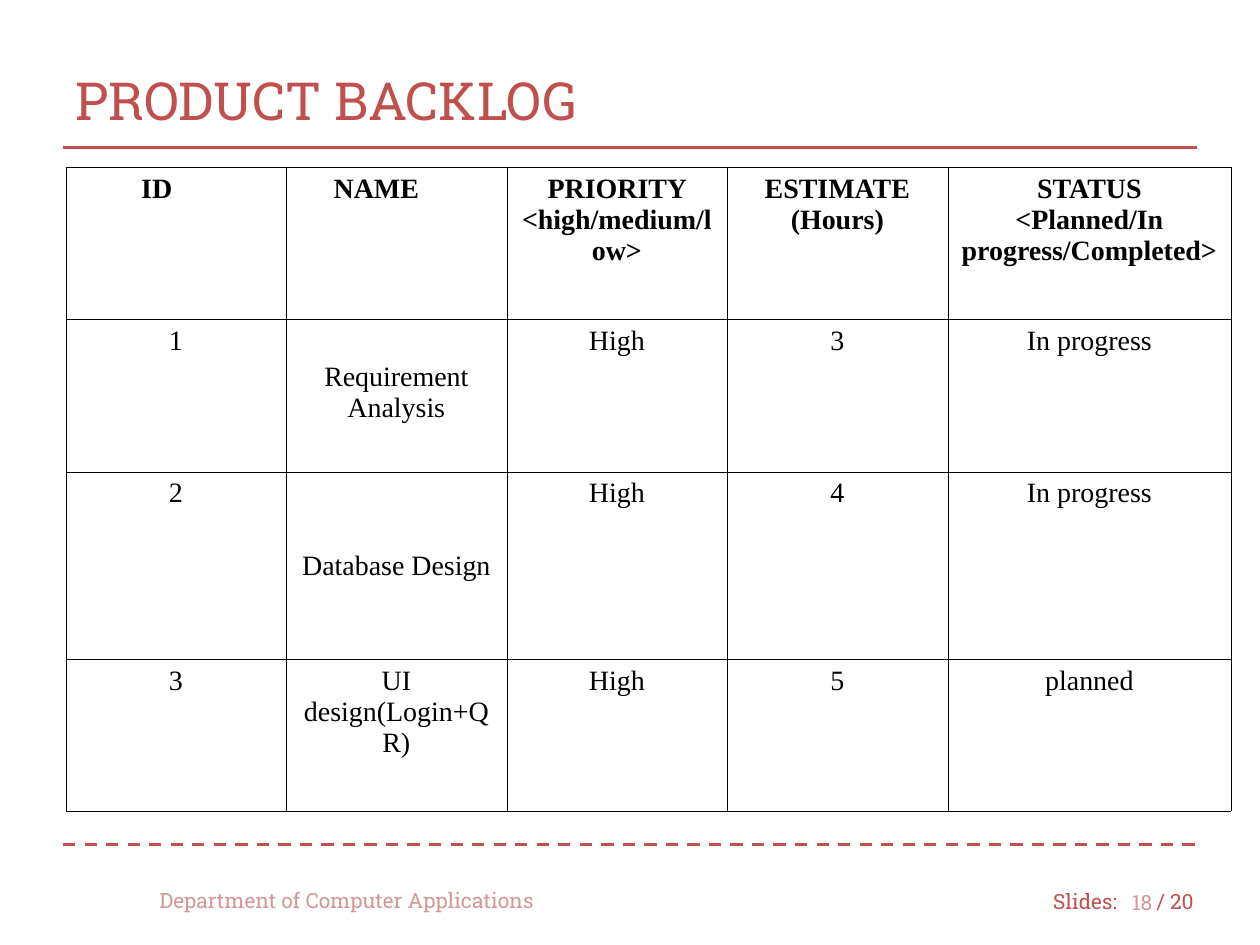
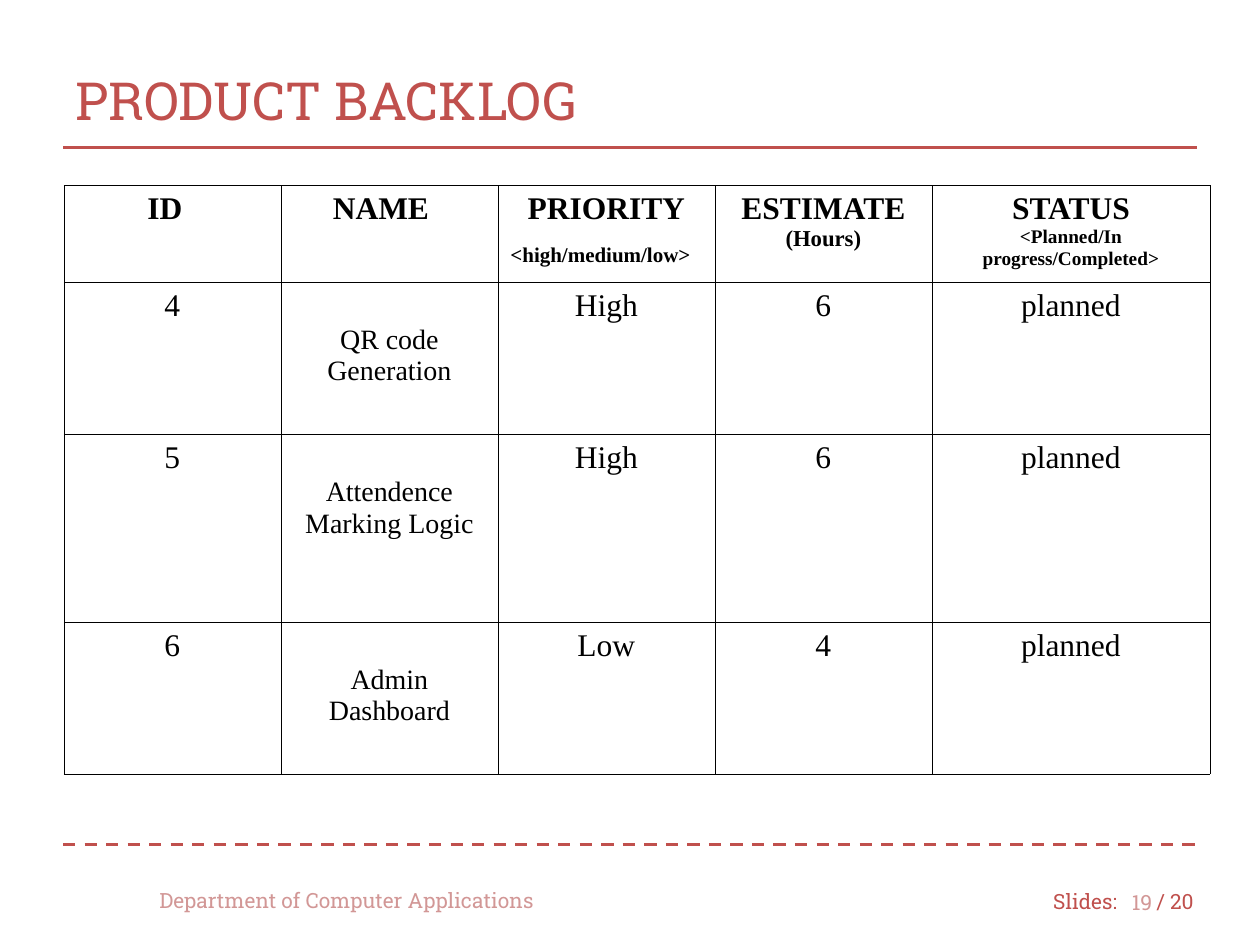
from lxml.etree import SubElement
from pptx import Presentation
from pptx.dml.color import RGBColor
from pptx.enum.dml import MSO_LINE
from pptx.enum.shapes import MSO_CONNECTOR
from pptx.enum.text import MSO_ANCHOR, PP_ALIGN
from pptx.oxml.ns import qn
from pptx.util import Pt

COLORS = {"accent": "C0504D", "muted": "D29796", "ink": "000000", "paper": "FFFFFF"}
TITLE_FONT = "Roboto Slab"
TABLE_FONT = "Times New Roman"
INSET = 7.2
BORDER_WIDTH = 0.06
NAME_SIZE = 16
BLANK_LINE = 20.7


def write(frame, text, size=12, font=TITLE_FONT, color="accent", bold=False,
          align=PP_ALIGN.LEFT, gap=0):
    """Fill the empty first paragraph, or add one below the text so far."""
    para = frame.paragraphs[0] if not frame.text else frame.add_paragraph()
    para.alignment = align
    para.space_before = Pt(gap)
    span = para.add_run()
    span.text = text
    span.font.size = Pt(size)
    span.font.name = font
    span.font.bold = bold
    span.font.color.rgb = RGBColor.from_string(COLORS[color])


def style_cell(cell):
    """Give a cell thin borders on all sides and a plain fill."""
    properties = cell._tc.get_or_add_tcPr()
    for side in ("a:lnL", "a:lnR", "a:lnT", "a:lnB"):
        border = SubElement(properties, qn(side), w=str(int(Pt(BORDER_WIDTH))))
        fill = SubElement(border, qn("a:solidFill"))
        SubElement(fill, qn("a:srgbClr"), val=COLORS["ink"])
    cell.fill.solid()
    cell.fill.fore_color.rgb = RGBColor.from_string(COLORS["paper"])


# Header lines: text, size, alignment, gap above
CENTER, LEFT, RIGHT = PP_ALIGN.CENTER, PP_ALIGN.LEFT, PP_ALIGN.RIGHT
STATUS_CHOICES = "<Planned/In progress/Completed>"

# Rows: id, name, blank lines above the name, priority, estimate, status
BACKLOGS = [
    {
        "number": 18, "left": 37.5, "top": 95.5, "size": 16,
        "widths": [126] * 4 + [162], "heights": [87, 87, 107, 87],
        "header": [
            [("ID", 16, LEFT, 0)],
            [("NAME", 16, LEFT, 0)],
            [("PRIORITY <high/medium/low>", 16, CENTER, 0)],
            [("ESTIMATE", 16, CENTER, 0), ("(Hours)", 16, CENTER, 0)],
            [("STATUS", 16, CENTER, 0), (STATUS_CHOICES, 16, CENTER, 0)],
        ],
        "rows": [
            ("1", "Requirement Analysis", 1, "High", "3", "In progress"),
            ("2", "Database Design", 2, "High", "4", "In progress"),
            ("3", "UI design(Login+QR)", 0, "High", "5", "planned"),
        ],
    },
    {
        "number": 19, "left": 36.5, "top": 106, "size": 18,
        "widths": [124] * 4 + [159], "heights": [52, 87, 107, 87],
        "header": [
            [("ID", 18, LEFT, 0)],
            [("NAME", 18, LEFT, 0)],
            [("PRIORITY", 18, CENTER, 0), ("<high/medium/low>", 12, LEFT, 10)],
            [("ESTIMATE", 18, CENTER, 0), ("(Hours)", 13, CENTER, 0)],
            [("STATUS", 18, CENTER, 0), (STATUS_CHOICES, 11, CENTER, 0)],
        ],
        "rows": [
            ("4", "QR code Generation", 1, "High", "6", "planned"),
            ("5", "Attendence Marking Logic", 1, "High", "6", "planned"),
            ("6", "Admin Dashboard", 1, "Low", "4", "planned"),
        ],
    },
]

deck = Presentation()
deck.slide_width, deck.slide_height = Pt(720), Pt(540)

for backlog in BACKLOGS:
    page = deck.slides.add_slide(deck.slide_layouts[6])

    # Rules below the title and above the footer
    for y, dash in ((482.4, MSO_LINE.DASH), (84.2, MSO_LINE.SOLID)):
        rule = page.shapes.add_connector(MSO_CONNECTOR.STRAIGHT, Pt(36), Pt(y), Pt(684), Pt(y))
        rule.line.color.rgb = RGBColor.from_string(COLORS["accent"])
        rule.line.width = Pt(1.75)
        rule.line.dash_style = dash
        SubElement(rule._element.spPr, qn("a:effectLst"))

    # Title and footer texts
    for text, left, top, width, height, style in (
        ("Slides:", 594.7, 501, 54, 28, {}),
        ("/ 20", 653.8, 501, 41, 28, {}),
        ("PRODUCT BACKLOG", 36, 24, 648, 65.5, {"size": 30}),
        ("Department of Computer Applications", 84, 500.5, 240, 28, {"color": "muted"}),
        (str(backlog["number"]), 636, 501.5, 29.5, 28, {"color": "muted", "align": RIGHT}),
    ):
        box = page.shapes.add_textbox(Pt(left), Pt(top), Pt(width), Pt(height))
        box.text_frame.word_wrap = True
        box.text_frame.vertical_anchor = MSO_ANCHOR.MIDDLE
        write(box.text_frame, text, **style)

    # Backlog table
    widths, heights, size = backlog["widths"], backlog["heights"], backlog["size"]
    table = page.shapes.add_table(
        len(heights), len(widths), Pt(backlog["left"]), Pt(backlog["top"]),
        Pt(sum(widths)), Pt(sum(heights))).table
    table.first_row = table.horz_banding = False
    for column, width in zip(table.columns, widths):
        column.width = Pt(width)
    for row, height in zip(table.rows, heights):
        row.height = Pt(height)
    for cell in table.iter_cells():
        style_cell(cell)

    # Header row, with ID and NAME indented from the left
    for column, lines in enumerate(backlog["header"]):
        for text, line_size, align, gap in lines:
            write(table.cell(0, column).text_frame, text, size=line_size, font=TABLE_FONT,
                  color="ink", bold=True, align=align, gap=gap)
    for column, spaces in enumerate((9, 5)):
        table.cell(0, column).margin_left = Pt(INSET + spaces * size / 4)

    # Item rows, with each name set lower by its blank lines
    for row, (item, name, blanks, *details) in enumerate(backlog["rows"], start=1):
        for column, text in enumerate((item, name, *details)):
            write(table.cell(row, column).text_frame, text,
                  size=NAME_SIZE if column == 1 else size,
                  font=TABLE_FONT, color="ink", align=CENTER)
        table.cell(row, 1).margin_top = Pt(INSET / 2 + blanks * BLANK_LINE)

deck.save("out.pptx")
